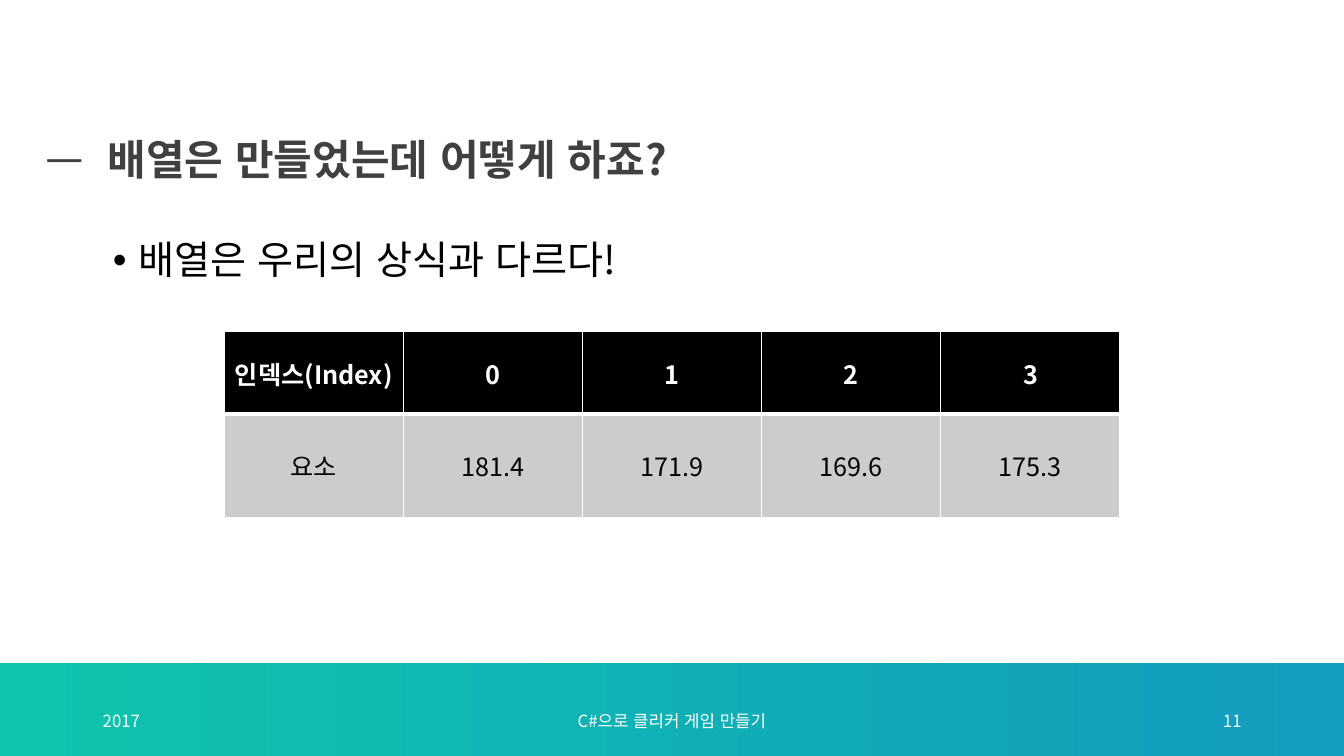
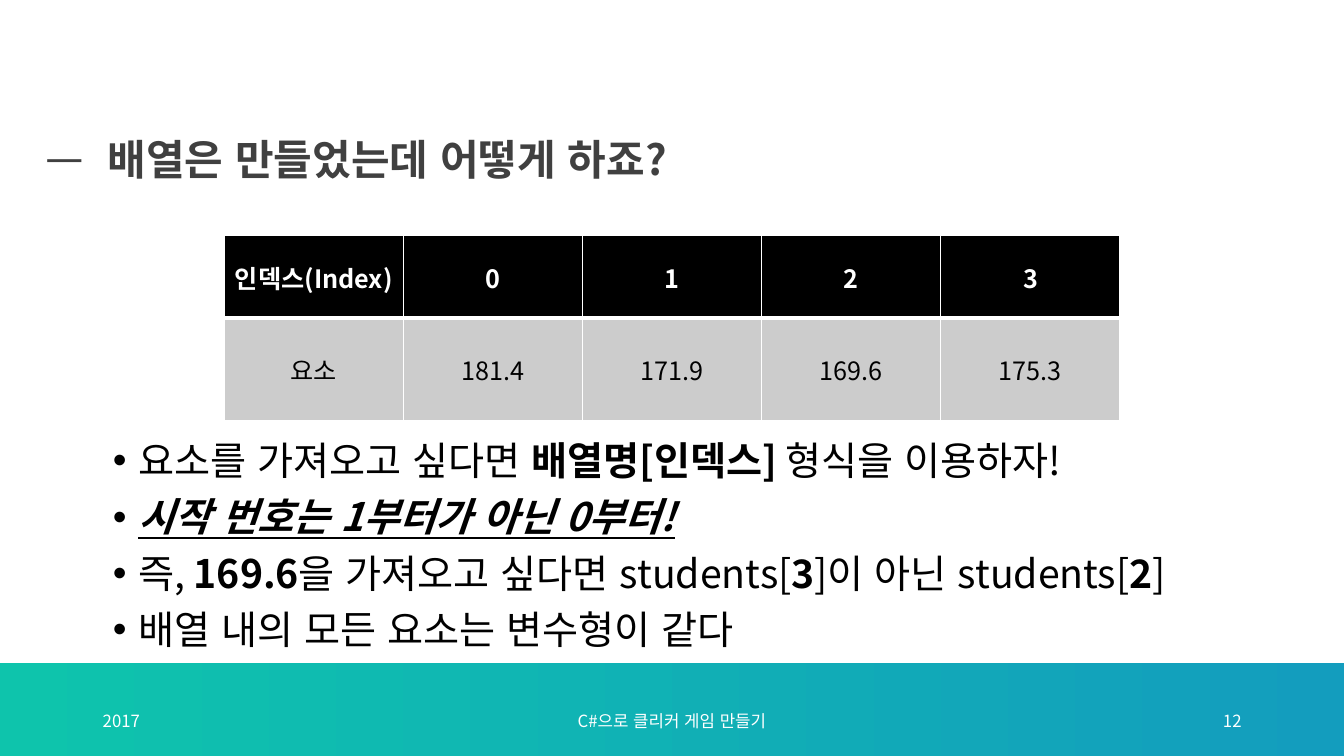
import dataclasses

import lxml.etree
import pptx
import pptx.dml.color
import pptx.enum.lang
import pptx.enum.shapes
import pptx.enum.text
import pptx.oxml.ns
import pptx.util

Cm = pptx.util.Cm
Pt = pptx.util.Pt
Align = pptx.enum.text.PP_ALIGN
Anchor = pptx.enum.text.MSO_ANCHOR


@dataclasses.dataclass(frozen=True)
class Theme:
    font: str = "Noto Sans CJK KR"
    bullet_font: str = "Arial"
    white: str = "FFFFFF"
    black: str = "000000"
    title: str = "404040"
    cell: str = "CCCCCC"
    band: tuple = ("0EC4AC", "139DBE")
    title_size: int = 30
    body_size: int = 28
    table_size: int = 18
    footer_size: int = 12


def rgb(color):
    return pptx.dml.color.RGBColor.from_string(color)


def add_element(parent, tag, **attributes):
    element = lxml.etree.SubElement(parent, pptx.oxml.ns.qn(tag))
    for name, value in attributes.items():
        element.set(name, str(value))
    return element


class Deck:
    """Hold the theme and the current slide, and draw each kind of element."""

    def __init__(self, theme):
        self.theme = theme
        self.presentation = pptx.Presentation()
        self.presentation.slide_width = Cm(33.87)
        self.presentation.slide_height = Cm(19.05)
        self.slide = None

    def add_slide(self, number):
        layout = self.presentation.slide_layouts[1]
        self.slide = self.presentation.slides.add_slide(layout)
        self.slide.background.fill.solid()
        self.slide.background.fill.fore_color.rgb = rgb(self.theme.white)
        self.band()
        self.footer("2017", 2.34, 7.62, Align.LEFT)
        self.footer("C#으로 클리커 게임 만들기", 11.22, 11.43, Align.CENTER)
        self.footer(str(number), 23.92, 7.62, Align.RIGHT)

    def band(self):
        top = Cm(16.71)
        shape = self.slide.shapes.add_shape(
            pptx.enum.shapes.MSO_SHAPE.RECTANGLE, 0, top,
            self.presentation.slide_width, self.presentation.slide_height - top)
        shape.shadow.inherit = False
        shape.line.fill.background()
        shape.fill.gradient()
        shape.fill.gradient_angle = 0
        for position, (stop, color) in enumerate(zip(shape.fill.gradient_stops, self.theme.band)):
            stop.position = position
            stop.color.rgb = rgb(color)

    def footer(self, text, left, width, alignment):
        shape = self.slide.shapes.add_textbox(Cm(left), Cm(17.66), Cm(width), Cm(1.02))
        frame = shape.text_frame
        frame.word_wrap = True
        frame.vertical_anchor = Anchor.MIDDLE
        frame.paragraphs[0].alignment = alignment
        self.run(frame.paragraphs[0], text, self.theme.footer_size, self.theme.white)

    def run(self, paragraph, text, size, color, style=""):
        run = paragraph.add_run()
        run.text = text
        font = run.font
        font.name = self.theme.font
        font.size = Pt(size)
        font.language_id = pptx.enum.lang.MSO_LANGUAGE_ID.KOREAN
        font.color.rgb = rgb(color)
        font.bold = "b" in style
        font.italic = "i" in style
        font.underline = "u" in style
        add_element(font._element, "a:ea", typeface=self.theme.font)

    def place(self, shape, left, top, width, height, anchor):
        shape.left, shape.top = Cm(left), Cm(top)
        shape.width, shape.height = Cm(width), Cm(height)
        frame = shape.text_frame
        frame.auto_size = pptx.enum.text.MSO_AUTO_SIZE.NONE
        frame.word_wrap = True
        frame.vertical_anchor = anchor
        return frame

    def bullet(self, paragraph, character, font, indent, space_before):
        paragraph.alignment = Align.LEFT
        paragraph.line_spacing = 0.9
        paragraph.space_before = Pt(space_before)
        properties = paragraph._p.get_or_add_pPr()
        properties.set("marL", str(Cm(indent)))
        properties.set("indent", str(-Cm(indent)))
        add_element(properties, "a:buFont", typeface=font)
        add_element(properties, "a:buChar", char=character)

    def title(self, text, width):
        frame = self.place(self.slide.shapes.title, 0.89, 2.9, width, 2.34, Anchor.MIDDLE)
        paragraph = frame.paragraphs[0]
        self.bullet(paragraph, "ￚ", self.theme.font, 1.57, 0)
        self.run(paragraph, text, self.theme.title_size, self.theme.title, "b")

    def body(self, items, top, height):
        frame = self.place(self.slide.placeholders[1], 2.59, top, 28.68, height, Anchor.TOP)
        for index, runs in enumerate(items):
            paragraph = frame.add_paragraph() if index else frame.paragraphs[0]
            self.bullet(paragraph, "•", self.theme.bullet_font, 0.64, 10)
            for text, style in runs:
                self.run(paragraph, text, self.theme.body_size, self.theme.black, style)

    def borders(self, cell, top, bottom):
        properties = cell._tc.get_or_add_tcPr()
        for side, width in (("L", 1), ("R", 1), ("T", top), ("B", bottom)):
            line = add_element(properties, f"a:ln{side}", w=Pt(width))
            fill = add_element(line, "a:solidFill")
            add_element(fill, "a:srgbClr", val=self.theme.white)

    def table(self, rows, top):
        theme = self.theme
        styles = ((theme.black, theme.white, "b", 1, 3), (theme.cell, theme.black, "", 3, 1))
        heights = (2.08, 2.59)
        table = self.slide.shapes.add_table(
            len(rows), len(rows[0]), Cm(5.65), Cm(top), Cm(22.58), Cm(sum(heights))).table
        for row_index, (values, height, style) in enumerate(zip(rows, heights, styles)):
            fill, color, weight, border_top, border_bottom = style
            table.rows[row_index].height = Cm(height)
            for column_index, value in enumerate(values):
                cell = table.cell(row_index, column_index)
                self.borders(cell, border_top, border_bottom)
                cell.fill.solid()
                cell.fill.fore_color.rgb = rgb(fill)
                cell.vertical_anchor = Anchor.MIDDLE
                paragraph = cell.text_frame.paragraphs[0]
                paragraph.alignment = Align.CENTER
                self.run(paragraph, value, theme.table_size, color, weight)


def main():
    title = "배열은 만들었는데 어떻게 하죠?"
    students = (("인덱스(Index)", "0", "1", "2", "3"),
                ("요소", "181.4", "171.9", "169.6", "175.3"))
    deck = Deck(Theme())

    deck.add_slide(11)
    deck.title(title, 21.77)
    deck.body([[("배열은 우리의 상식과 다르다!", "")]], 5.94, 9.5)
    deck.table(students, 8.36)

    deck.add_slide(12)
    deck.title(title, 24.49)
    deck.body([
        [("요소를 가져오고 싶다면 ", ""), ("배열명[인덱스] ", "b"), ("형식을 이용하자!", "")],
        [("시작 번호는 1부터가 아닌 0부터!", "biu")],
        [("즉, ", ""), ("169.6", "b"), ("을 가져오고 싶다면 students[", ""), ("3", "b"),
         ("]이 아닌 students[", ""), ("2", "b"), ("]", "")],
        [("배열 내의 모든 요소는 변수형이 같다", "")],
    ], 11, 6.65)
    deck.table(students, 5.94)

    deck.presentation.save("out.pptx")


if __name__ == "__main__":
    main()
